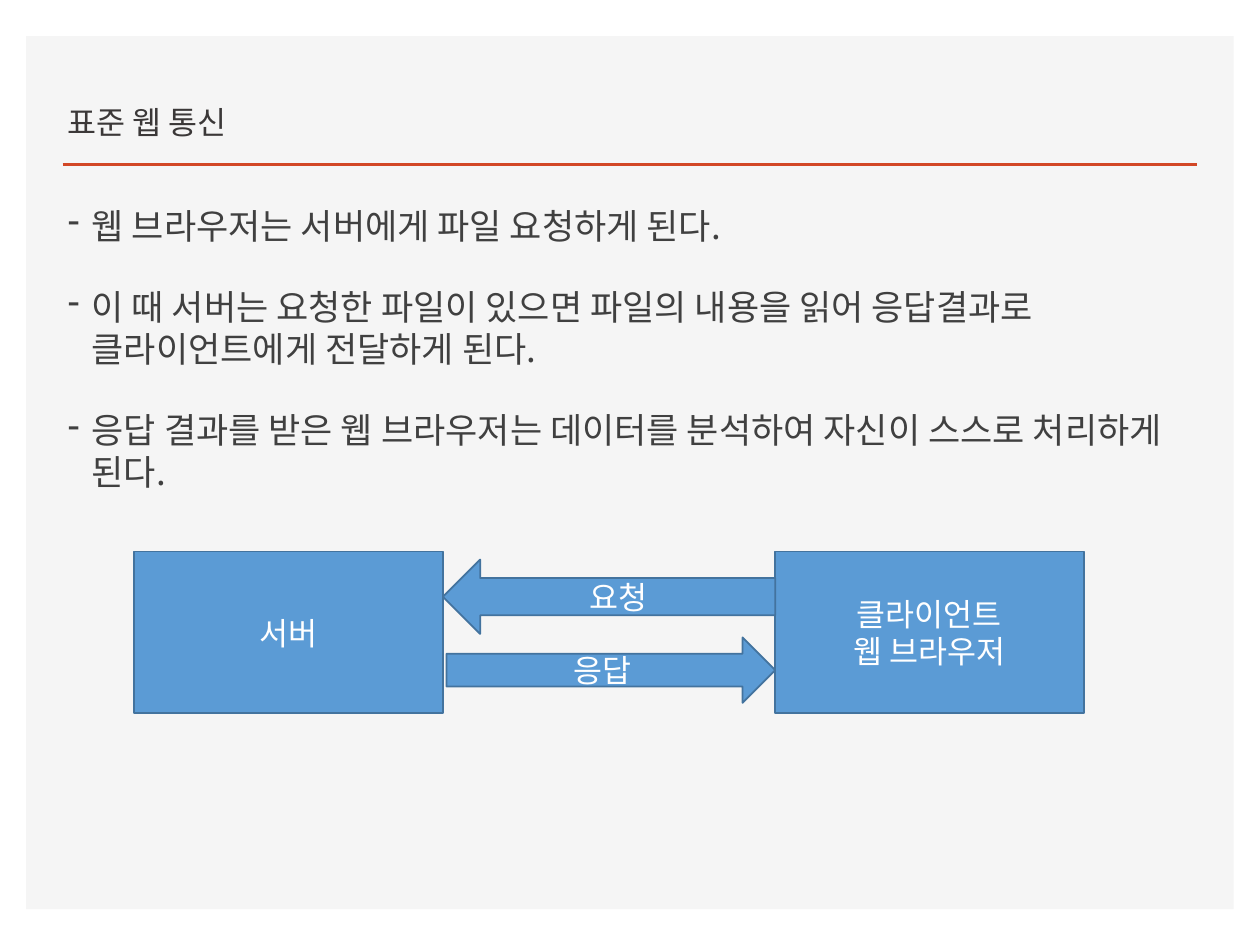
from lxml.etree import SubElement
from pptx import Presentation
from pptx.dml.color import RGBColor
from pptx.enum.shapes import MSO_CONNECTOR as Connector, MSO_SHAPE as Shape
from pptx.enum.text import MSO_ANCHOR as Anchor, PP_ALIGN as Align
from pptx.oxml.ns import qn
from pptx.util import Cm, Pt


def color(code):
    return RGBColor.from_string(code)


class SlideBuilder:
    text_font = "Noto Sans CJK KR"
    label_font = "Roboto"
    panel_fill = "F5F5F5"
    accent = "D24726"
    title_color = "3B3838"
    body_color = "404040"
    block_fill = "5B9BD5"
    block_line = "43739E"
    label_color = "FFFFFF"

    def __init__(self, slide):
        self.slide = slide

    def add_text(self, paragraph, text, size, font, code):
        run = paragraph.add_run()
        run.text = text
        run.font.size = Pt(size)
        run.font.name = font
        run.font.color.rgb = color(code)
        SubElement(run.font._element, qn("a:ea"), typeface=self.text_font)

    def panel(self, left, top, width, height):
        panel = self.slide.shapes.add_shape(
            Shape.RECTANGLE, Cm(left), Cm(top), Cm(width), Cm(height))
        panel.shadow.inherit = False
        panel.fill.solid()
        panel.fill.fore_color.rgb = color(self.panel_fill)
        panel.line.fill.background()

    def rule(self, left, right, y):
        rule = self.slide.shapes.add_connector(
            Connector.STRAIGHT, Cm(left), Cm(y), Cm(right), Cm(y))
        rule.line.color.rgb = color(self.accent)
        rule.line.width = Pt(2)
        SubElement(rule._element.spPr, qn("a:effectLst"))

    def text_frame(self, left, top, width, height, anchor):
        frame = self.slide.shapes.add_textbox(
            Cm(left), Cm(top), Cm(width), Cm(height)).text_frame
        frame.word_wrap = True
        frame.vertical_anchor = anchor
        return frame

    def title(self, text, *place):
        heading = self.text_frame(*place, Anchor.BOTTOM).paragraphs[0]
        heading.line_spacing = 0.9
        self.add_text(heading, text, 18, self.text_font, self.title_color)

    def bullets(self, points, *place):
        frame = self.text_frame(*place, Anchor.TOP)
        for index, text in enumerate(points):
            point = frame.add_paragraph() if index else frame.paragraphs[0]
            point.space_before = Pt(7.5)
            point.space_after = Pt(15)
            props = point._p.get_or_add_pPr()
            props.set("marL", str(Cm(0.48)))
            props.set("indent", str(-Cm(0.48)))
            SubElement(props, qn("a:buChar"), char="-")
            self.add_text(point, text, 20, self.text_font, self.body_color)

    def block(self, kind, lines, left, top, width, height):
        block = self.slide.shapes.add_shape(
            kind, Cm(left), Cm(top), Cm(width), Cm(height))
        block.shadow.inherit = False
        block.fill.solid()
        block.fill.fore_color.rgb = color(self.block_fill)
        block.line.color.rgb = color(self.block_line)
        block.line.width = Pt(1)
        frame = block.text_frame
        frame.vertical_anchor = Anchor.MIDDLE
        for index, text in enumerate(lines):
            label = frame.add_paragraph() if index else frame.paragraphs[0]
            label.alignment = Align.CENTER
            self.add_text(label, text, 18, self.label_font, self.label_color)


def main():
    deck = Presentation()
    deck.slide_width, deck.slide_height = Cm(25.4), Cm(19.05)
    page = SlideBuilder(deck.slides.add_slide(deck.slide_layouts[6]))

    page.panel(0.53, 0.73, 24.34, 17.6)
    page.rule(1.26, 24.13, 3.32)
    page.title("표준 웹 통신", 1.12, 1.63, 12.75, 1.35)
    page.bullets([
        "웹 브라우저는 서버에게 파일 요청하게 된다.",
        "이 때 서버는 요청한 파일이 있으면 파일의 내용을 읽어 응답결과로 클라이언트에게 전달하게 된다.",
        "응답 결과를 받은 웹 브라우저는 데이터를 분석하여 자신이 스스로 처리하게 된다.",
    ], 1.12, 3.99, 22.96, 12.5)

    computers = [(["서버"], 2.7), (["클라이언트", "웹 브라우저"], 15.62)]
    for lines, left in computers:
        page.block(Shape.RECTANGLE, lines, left, 11.12, 6.23, 3.26)
    page.block(Shape.RIGHT_ARROW, ["응답"], 9, 12.85, 6.63, 1.32)
    page.block(Shape.LEFT_ARROW, ["요청"], 8.93, 11.28, 6.7, 1.5)

    deck.save("out.pptx")


if __name__ == "__main__":
    main()
